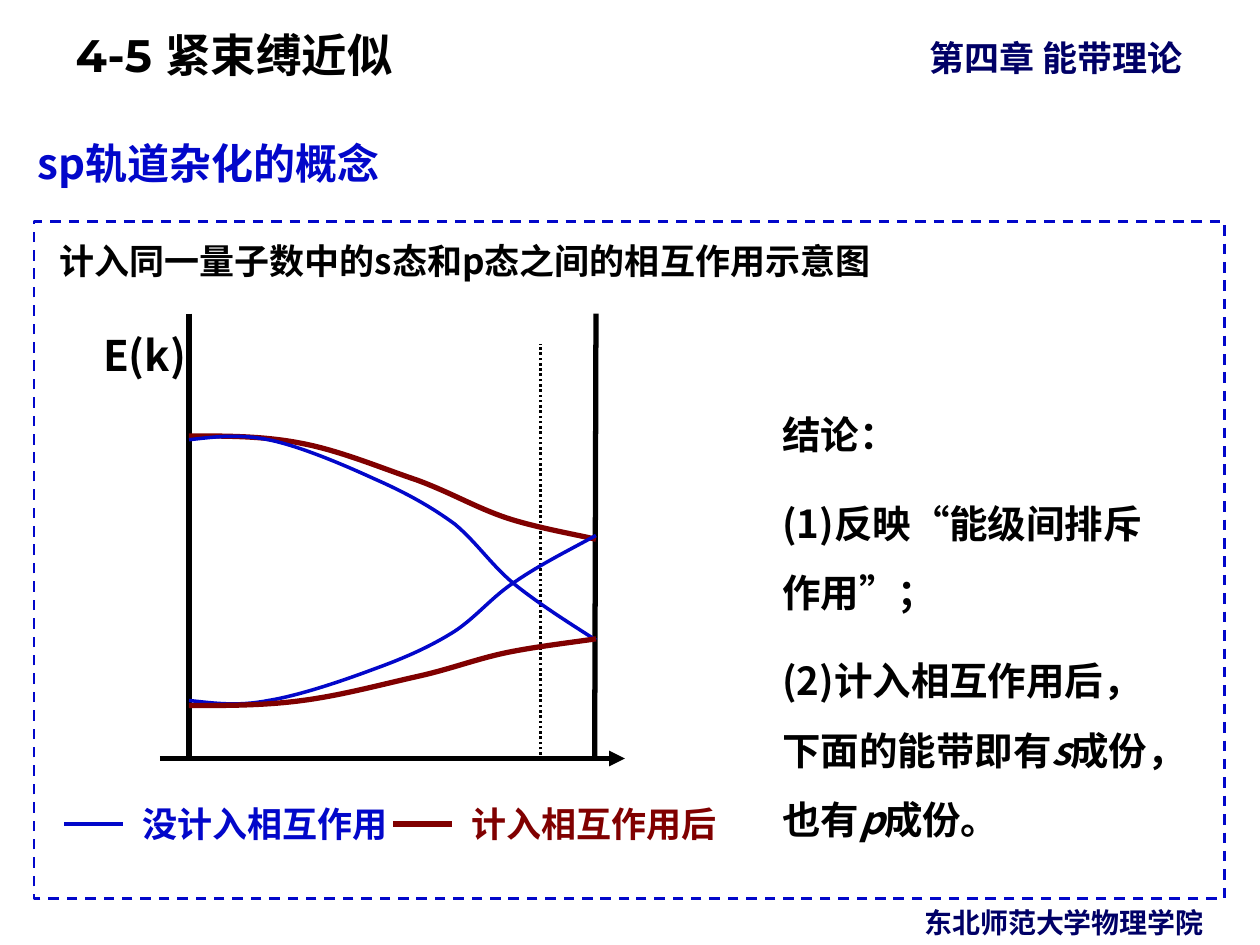
from lxml.etree import SubElement
from pptx import Presentation
from pptx.dml.color import RGBColor
from pptx.enum.dml import MSO_LINE
from pptx.enum.shapes import MSO_CONNECTOR, MSO_SHAPE
from pptx.enum.text import MSO_ANCHOR, MSO_AUTO_SIZE, PP_ALIGN
from pptx.oxml.ns import qn
from pptx.util import Inches, Pt

COLORS = {"ink": "000000", "navy": "000066", "blue": "0207CA", "red": "800000"}
CJK_FONT = "Noto Sans CJK SC"

TITLE = "4-5 紧束缚近似"
# Each run is (text, italic)
CONCLUSIONS = [
    [("结论：", False)],
    [("(1)反映“能级间排斥作用”；", False)],
    [("(2)计入相互作用后，下面的能带即有", False), ("s", True),
     ("成份，也有", False), ("p", True), ("成份。", False)],
]
LABELS = [
    ("第四章 能带理论", (7.28, 0.24, 2.56, 0.43), dict(size=20, color="navy")),
    ("东北师范大学物理学院", (6.89, 7.14, 3.11, 0.37),
     dict(size=16, color="navy", align=PP_ALIGN.CENTER)),
    ("sp轨道杂化的概念", (0.2, 1.04, 5.25, 0.51), dict(size=24, color="blue")),
    ("计入同一量子数中的s态和p态之间的相互作用示意图", (0.37, 1.85, 8.58, 0.44), dict(size=20)),
    ("E(k)", (0.72, 2.57, 0.89, 0.47), dict(size=24)),
]
LEGEND = [("没计入相互作用", 0.51, "blue", 2), ("计入相互作用后", 3.12, "red", 3)]
AXES = [
    ((1.27, 6.02), (4.96, 6.02), dict(width=3, arrow=True)),
    ((1.5, 2.49), (1.5, 6.02), dict(width=3)),
    ((4.73, 2.49), (4.72, 6.02), dict(width=3)),
    ((4.29, 5.99), (4.29, 2.73), dict(width=1.5, dash=MSO_LINE.ROUND_DOT)),
]
MIXED_X = [1.5, 1.8, 2.1, 2.4, 2.71, 3.04, 3.31, 3.58, 3.78, 4.02, 4.26, 4.61, 4.73]
PURE_X = [1.5, 1.69, 1.88, 2.13, 2.38, 2.73, 2.97, 3.22, 3.42, 3.61, 3.79, 3.91, 4.1,
          4.29, 4.51, 4.73]
BANDS = [
    (MIXED_X, [3.46, 3.46, 3.46, 3.52, 3.58, 3.72, 3.81, 3.91, 4.03, 4.11, 4.19, 4.25, 4.28],
     "red", 3),
    (PURE_X, [3.49, 3.47, 3.44, 3.49, 3.54, 3.69, 3.8, 3.91, 4.02, 4.16, 4.31, 4.5, 4.65,
              4.8, 4.94, 5.08], "blue", 2),
    (PURE_X, [5.56, 5.58, 5.61, 5.56, 5.52, 5.4, 5.31, 5.22, 5.13, 5.01, 4.89, 4.73, 4.61,
              4.48, 4.37, 4.25], "blue", 2),
    (MIXED_X, [5.6, 5.6, 5.6, 5.56, 5.52, 5.43, 5.37, 5.31, 5.23, 5.18, 5.13, 5.09, 5.07],
     "red", 3),
]


def rgb(color):
    return RGBColor.from_string(COLORS[color])


def write(holder, paragraphs, box, size=20, color="ink", font=CJK_FONT, align=PP_ALIGN.LEFT,
          anchor=MSO_ANCHOR.TOP, spacing=1.0, indent=0):
    """Place a text holder and fill it with formatted paragraphs."""
    holder.left, holder.top, holder.width, holder.height = map(Inches, box)
    frame = holder.text_frame
    frame.word_wrap = True
    frame.auto_size = MSO_AUTO_SIZE.NONE
    frame.vertical_anchor = anchor
    if isinstance(paragraphs, str):
        paragraphs = [[(paragraphs, False)]]
    for index, runs in enumerate(paragraphs):
        paragraph = frame.add_paragraph() if index else frame.paragraphs[0]
        properties = paragraph._p.get_or_add_pPr()
        properties.set("marL", "0")
        properties.set("indent", str(Inches(indent)))
        SubElement(properties, qn("a:buNone"))
        paragraph.alignment = align
        paragraph.line_spacing = spacing
        paragraph.space_before = Pt(size / 2 if index else 0)
        for words, italic in runs:
            run = paragraph.add_run()
            run.text = words
            run.font.size = Pt(size)
            run.font.bold = True
            run.font.italic = italic
            run.font.color.rgb = rgb(color)
            run.font.name = font
            SubElement(run._r.get_or_add_rPr(), qn("a:ea"), typeface=CJK_FONT)


def label(slide, words, box, **style):
    write(slide.shapes.add_textbox(0, 0, 0, 0), words, box, **style)


def stroke(line, color, width, dash=None):
    line.color.rgb = rgb(color)
    line.width = Pt(width)
    if dash:
        line.dash_style = dash


def straight(slide, start, end, color="ink", width=1, dash=None, arrow=False):
    connector = slide.shapes.add_connector(
        MSO_CONNECTOR.STRAIGHT, *map(Inches, (*start, *end)))
    stroke(connector.line, color, width, dash)
    if arrow:
        SubElement(connector.line._get_or_add_ln(), qn("a:tailEnd"), type="triangle")
    SubElement(connector._element.spPr, qn("a:effectLst"))


def curve(slide, xs, ys, color, width):
    points = [(Inches(x), Inches(y)) for x, y in zip(xs, ys)]
    builder = slide.shapes.build_freeform(*points[0])
    builder.add_line_segments(points[1:], close=False)
    band = builder.convert_to_shape()
    outline = next(band._element.iter(qn("a:path")))
    segments = outline.findall(qn("a:lnTo"))
    for first in range(0, len(segments), 3):
        bezier = SubElement(outline, qn("a:cubicBezTo"))
        for segment in segments[first:first + 3]:
            bezier.append(segment[0])
            outline.remove(segment)
    band.fill.background()
    stroke(band.line, color, width)
    band.shadow.inherit = False


def main():
    deck = Presentation()
    deck.slide_width, deck.slide_height = Inches(10), Inches(7.5)
    slide = deck.slides.add_slide(deck.slide_layouts[1])

    write(slide.shapes.title, TITLE, (0, 0.07, 7.89, 0.61), size=26, font="Montserrat",
          anchor=MSO_ANCHOR.MIDDLE, spacing=1.25, indent=0.5)
    write(slide.placeholders[1], CONCLUSIONS, (6.11, 3.03, 3.32, 3.8), size=22, spacing=1.5)

    frame = slide.shapes.add_shape(
        MSO_SHAPE.RECTANGLE, *map(Inches, (0.27, 1.76, 9.45, 5.37)))
    frame.fill.background()
    stroke(frame.line, "blue", 1.5, MSO_LINE.DASH)
    frame.shadow.inherit = False

    for words, box, style in LABELS:
        label(slide, words, box, **style)
    for start, end, style in AXES:
        straight(slide, start, end, **style)
    for band in BANDS:
        curve(slide, *band)
    for words, left, color, width in LEGEND:
        straight(slide, (left, 6.54), (left + 0.47, 6.54), color=color, width=width)
        label(slide, words, (left + 0.52, 6.32, 2.5, 0.44), color=color)

    deck.save("out.pptx")


if __name__ == "__main__":
    main()
